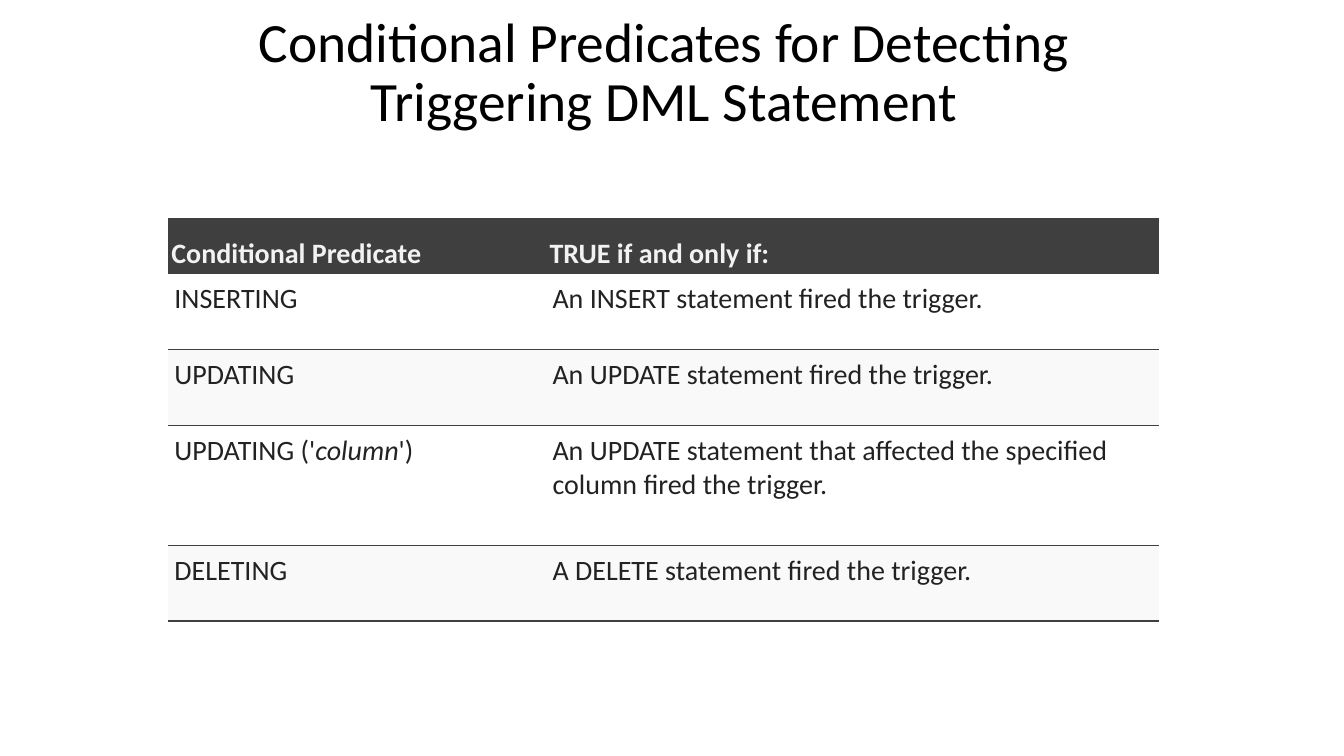
from pptx import Presentation
from pptx.dml.color import RGBColor
from pptx.enum.text import MSO_ANCHOR, PP_ALIGN
from pptx.oxml import parse_xml
from pptx.oxml.ns import nsdecls
from pptx.util import Inches, Pt

FONT = "Calibri"
DARK = "3F3F3F"
BODY_FILLS = ("FFFFFF", "F9F9F9")
COLUMN_WIDTHS = (3.75, 6.08)
ROW_HEIGHTS = (0.55, 0.75, 0.75, 1.19, 0.75)

# Each cell is a list of (text, italic) runs
HEADINGS = ([("Conditional Predicate", False)], [("TRUE if and only if:", False)])
PREDICATES = (
    ([("INSERTING", False)],
     [("An INSERT statement fired the trigger.", False)]),
    ([("UPDATING", False)],
     [("An UPDATE statement fired the trigger.", False)]),
    ([("UPDATING ('", False), ("column", True), ("')", False)],
     [("An UPDATE statement that affected the specified column fired the trigger.", False)]),
    ([("DELETING", False)],
     [("A DELETE statement fired the trigger.", False)]),
)


def color(hex_value):
    return RGBColor.from_string(hex_value)


def add_text(paragraph, text, size=20, fill="222222", bold=False, italic=False):
    run = paragraph.add_run()
    run.text = text
    font = run.font
    font.name, font.size = FONT, Pt(size)
    font.bold, font.italic = bold, italic
    font.color.rgb = color(fill)


def set_borders(cell, top=0, bottom=0):
    """Draw the horizontal rules in points; a width of 0 means no line."""
    properties = cell._tc.get_or_add_tcPr()
    widths = {"lnL": 0, "lnR": 0, "lnT": top, "lnB": bottom}
    for position, (side, width) in enumerate(widths.items()):
        paint = (f'<a:solidFill><a:srgbClr val="{DARK}"/></a:solidFill>'
                 if width else "<a:noFill/>")
        border = parse_xml(
            f'<a:{side} {nsdecls("a")} w="{int(Pt(width))}">{paint}</a:{side}>')
        properties.insert(position, border)


def add_title(slide, left, top, width, height):
    title = slide.shapes.title
    title.left, title.top = Inches(left), Inches(top)
    title.width, title.height = Inches(width), Inches(height)
    frame = title.text_frame
    frame.word_wrap = True
    frame.vertical_anchor = MSO_ANCHOR.MIDDLE
    # The deep bottom margin lifts the heading towards the slide edge
    frame.margin_top, frame.margin_bottom = Inches(0.05), Inches(0.65)
    heading = frame.paragraphs[0]
    heading.alignment = PP_ALIGN.CENTER
    heading.line_spacing = 0.9
    add_text(heading, "Conditional Predicates for Detecting Triggering DML Statement",
             size=39.6, fill="000000")


def fill_cell(cell, runs, background, margins, anchor, **text_format):
    cell.fill.solid()
    cell.fill.fore_color.rgb = color(background)
    side, vertical = (Inches(margin) for margin in margins)
    cell.margin_left = cell.margin_right = side
    cell.margin_top = cell.margin_bottom = vertical
    cell.vertical_anchor = anchor
    for text, italic in runs:
        add_text(cell.text_frame.paragraphs[0], text, italic=italic, **text_format)


def add_predicate_table(slide, left, top):
    table = slide.shapes.add_table(
        len(ROW_HEIGHTS), len(COLUMN_WIDTHS), Inches(left), Inches(top),
        Inches(sum(COLUMN_WIDTHS)), Inches(sum(ROW_HEIGHTS))).table
    for column, width in zip(table.columns, COLUMN_WIDTHS):
        column.width = Inches(width)
    for row, height in zip(table.rows, ROW_HEIGHTS):
        row.height = Inches(height)

    # Heading row
    for cell, runs in zip(table.rows[0].cells, HEADINGS):
        fill_cell(cell, runs, DARK, (0.03, 0.03), MSO_ANCHOR.BOTTOM,
                  fill="F2F2F2", bold=True)
        set_borders(cell, top=0.75)

    # Predicate rows with alternating fills and a rule below each
    for index, predicate in enumerate(PREDICATES):
        is_last = index == len(PREDICATES) - 1
        for cell, runs in zip(table.rows[index + 1].cells, predicate):
            fill_cell(cell, runs, BODY_FILLS[index % 2], (0.06, 0.08), MSO_ANCHOR.TOP)
            set_borders(cell, top=0.75 if index else 0, bottom=1.5 if is_last else 0.75)


def main():
    presentation = Presentation()
    presentation.slide_width, presentation.slide_height = Inches(13.33), Inches(7.5)
    slide = presentation.slides.add_slide(presentation.slide_layouts[5])
    add_title(slide, 1.96, 0.34, 9.25, 1.39)
    add_predicate_table(slide, 1.67, 2.17)
    presentation.save("out.pptx")


if __name__ == "__main__":
    main()
